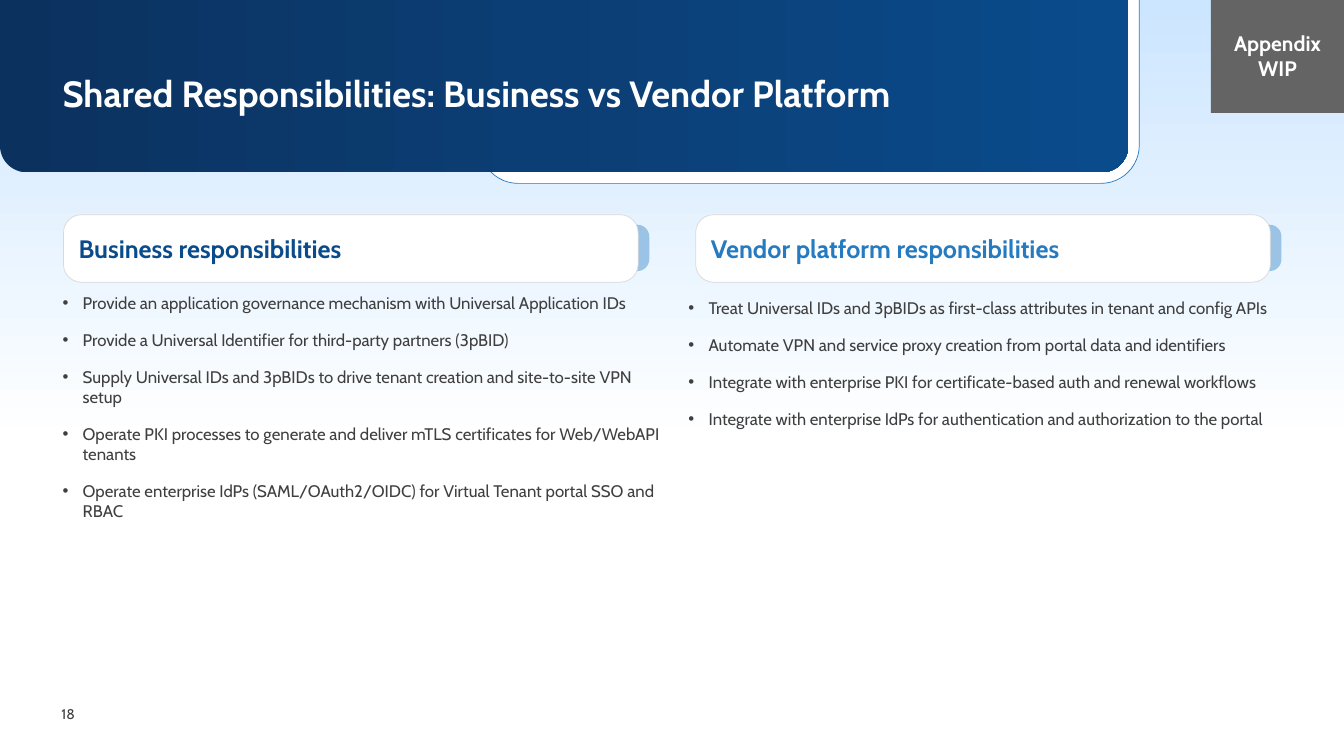
from dataclasses import dataclass

from lxml import etree
from pptx import Presentation
from pptx import util as u
from pptx.dml.color import RGBColor
from pptx.enum import shapes, text
from pptx.oxml.ns import qn

TITLE = "Shared Responsibilities: Business vs Vendor Platform"
TAG = "Appendix WIP"
PAGE_NUMBER = "18"
COLUMNS = [
    {
        "heading": "Business responsibilities",
        "color": "0A4B8C",
        "card_left": 0.63,
        "list_left": 0.62,
        "margins": (0, 0),
        "items": [
            "Provide an application governance mechanism with Universal Application IDs",
            "Provide a Universal Identifier for third-party partners (3pBID)",
            "Supply Universal IDs and 3pBIDs to drive tenant creation and site-to-site VPN setup",
            "Operate PKI processes to generate and deliver mTLS certificates for Web/WebAPI tenants",
            "Operate enterprise IdPs (SAML/OAuth2/OIDC) for Virtual Tenant portal SSO and RBAC",
        ],
    },
    {
        "heading": "Vendor platform responsibilities",
        "color": "267AC0",
        "card_left": 6.9,
        "list_left": 6.73,
        "margins": (0.1, 0.05),
        "items": [
            "Treat Universal IDs and 3pBIDs as first-class attributes in tenant and config APIs",
            "Automate VPN and service proxy creation from portal data and identifiers",
            "Integrate with enterprise PKI for certificate-based auth and renewal workflows",
            "Integrate with enterprise IdPs for authentication and authorization to the portal",
        ],
    },
]


@dataclass(frozen=True)
class Theme:
    font: str = "Cabin"
    white: str = "FFFFFF"
    body: str = "3F3F3F"
    accent: str = "267AC0"
    card_line: str = "D9D9D9"
    tag: str = "646464"
    sky: tuple = ((0, "CCE6FF"), (100, "FFFFFF"))
    banner: tuple = ((0, "0B315E"), (48, "0B3E74"), (100, "0A4B8C"))
    title_size: int = 26
    heading_size: int = 18
    tag_size: int = 15
    body_size: int = 12
    page_size: int = 10


THEME = Theme()
SHAPE = shapes.MSO_SHAPE


def box(*lengths):
    return [u.Inches(length) for length in lengths]


def add_panel(parent, kind, bounds, fill=None, line=None, adjustments=()):
    shape = parent.shapes.add_shape(kind, *box(*bounds))
    shape.shadow.inherit = False
    for index, value in enumerate(adjustments):
        shape.adjustments[index] = value
    if fill:
        shape.fill.solid()
        shape.fill.fore_color.rgb = RGBColor.from_string(fill)
    if line:
        shape.line.color.rgb = RGBColor.from_string(line)
        shape.line.width = u.Pt(0.5)
    else:
        shape.line.fill.background()
    return shape


def set_gradient(shape, stops, angle):
    shape.fill.gradient()
    shape.fill.gradient_angle = angle
    stop_list = shape._element.spPr.find(".//" + qn("a:gsLst"))
    for stop in list(stop_list):
        stop_list.remove(stop)
    for position, color in stops:
        stop = etree.SubElement(stop_list, qn("a:gs"), pos=str(position * 1000))
        etree.SubElement(stop, qn("a:srgbClr"), val=color)


def set_alpha(shape, percent):
    color = shape._element.spPr.find(qn("a:solidFill")).find(qn("a:srgbClr"))
    etree.SubElement(color, qn("a:alpha"), val=str(percent * 1000))


def set_frame(shape, margins, anchor):
    frame = shape.text_frame
    frame.word_wrap = True
    frame.auto_size = text.MSO_AUTO_SIZE.NONE
    frame.vertical_anchor = anchor
    frame.margin_left = frame.margin_right = u.Inches(margins[0])
    frame.margin_top = frame.margin_bottom = u.Inches(margins[1])
    return frame


def write(paragraph, words, size, color, bold=False, align=text.PP_ALIGN.LEFT):
    paragraph.alignment = align
    run = paragraph.add_run()
    run.text = words
    run.font.name = THEME.font
    run.font.size = u.Pt(size)
    run.font.bold = bold
    run.font.color.rgb = RGBColor.from_string(color)


def add_bullet(paragraph):
    properties = paragraph._p.get_or_add_pPr()
    properties.set("marL", str(u.Inches(0.2)))
    properties.set("indent", str(-u.Inches(0.2)))
    etree.SubElement(properties, qn("a:buFont"), typeface="Arial")
    etree.SubElement(properties, qn("a:buChar"), char="•")


def add_header(slide, column):
    group = slide.shapes.add_group_shape()
    left = column["card_left"]
    tab = add_panel(group, SHAPE.ROUNDED_RECTANGLE, (left + 4.78, 2.23, 1.03, 0.46),
                    THEME.accent, adjustments=[0.254])
    set_alpha(tab, 40)
    card = add_panel(group, SHAPE.ROUNDED_RECTANGLE, (left, 2.13, 5.7, 0.67),
                     THEME.white, THEME.card_line, [0.265])
    frame = set_frame(card, (0.1, 0.2), text.MSO_ANCHOR.MIDDLE)
    write(frame.paragraphs[0], column["heading"], THEME.heading_size, column["color"], True)


def add_list(slide, column):
    shape = slide.shapes.add_textbox(*box(column["list_left"], 2.9, 5.98, 3.39))
    frame = set_frame(shape, column["margins"], text.MSO_ANCHOR.TOP)
    for index, item in enumerate(column["items"]):
        paragraph = frame.add_paragraph() if index else frame.paragraphs[0]
        add_bullet(paragraph)
        if index:
            paragraph.space_before = u.Pt(6)
        paragraph.space_after = u.Pt(6)
        write(paragraph, item, THEME.body_size, THEME.body)


def add_title(slide):
    title = slide.shapes.title
    slide.shapes._spTree.append(title._element)
    title.left, title.top, title.width, title.height = box(0.62, 0.75, 10.57, 0.78)
    frame = set_frame(title, (0, 0), text.MSO_ANCHOR.TOP)
    frame.paragraphs[0].line_spacing = 0.9
    write(frame.paragraphs[0], TITLE, THEME.title_size, THEME.white, True)


def main():
    presentation = Presentation()
    presentation.slide_width, presentation.slide_height = box(13.33, 7.5)
    slide = presentation.slides.add_slide(presentation.slide_layouts[5])

    sky = add_panel(slide, SHAPE.RECTANGLE, (0, 0, 13.33, 4.4))
    set_gradient(sky, THEME.sky, 270)
    page = slide.shapes.add_textbox(*box(0.61, 6.96, 0.39, 0.25))
    frame = set_frame(page, (0, 0.05), text.MSO_ANCHOR.MIDDLE)
    write(frame.paragraphs[0], PAGE_NUMBER, THEME.page_size, THEME.body)

    add_panel(slide, SHAPE.ROUND_2_SAME_RECTANGLE, (4.76, -0.04, 6.54, 1.86),
              THEME.white, THEME.accent, [0, 0.204])
    banner = add_panel(slide, SHAPE.ROUND_2_SAME_RECTANGLE, (0, 0, 11.19, 1.71),
                       adjustments=[0, 0.155])
    set_gradient(banner, THEME.banner, 0)
    add_title(slide)

    tag = add_panel(slide, SHAPE.RECTANGLE, (12.01, -0.02, 1.32, 1.14), THEME.tag)
    frame = set_frame(tag, (0.1, 0.05), text.MSO_ANCHOR.MIDDLE)
    write(frame.paragraphs[0], TAG, THEME.tag_size, THEME.white, True, text.PP_ALIGN.CENTER)

    for column in COLUMNS:
        add_header(slide, column)
        add_list(slide, column)

    presentation.save("out.pptx")


if __name__ == "__main__":
    main()
